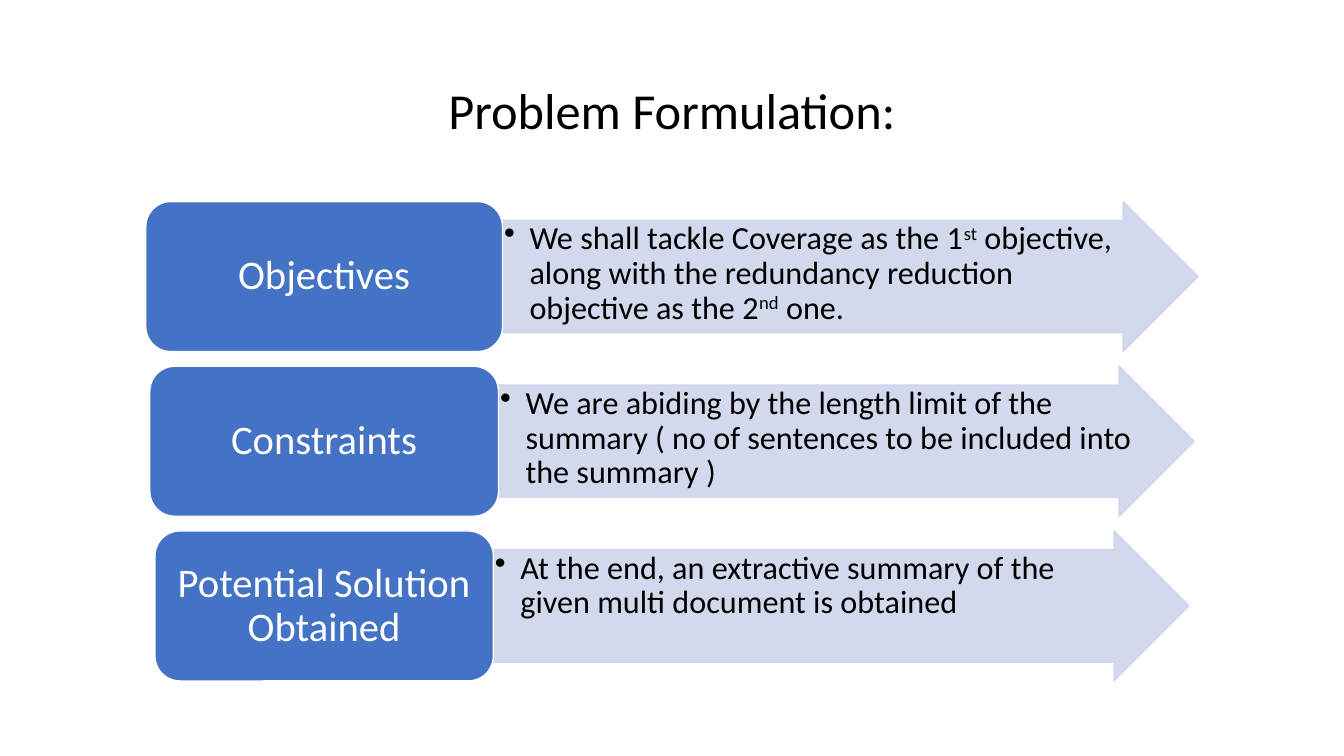
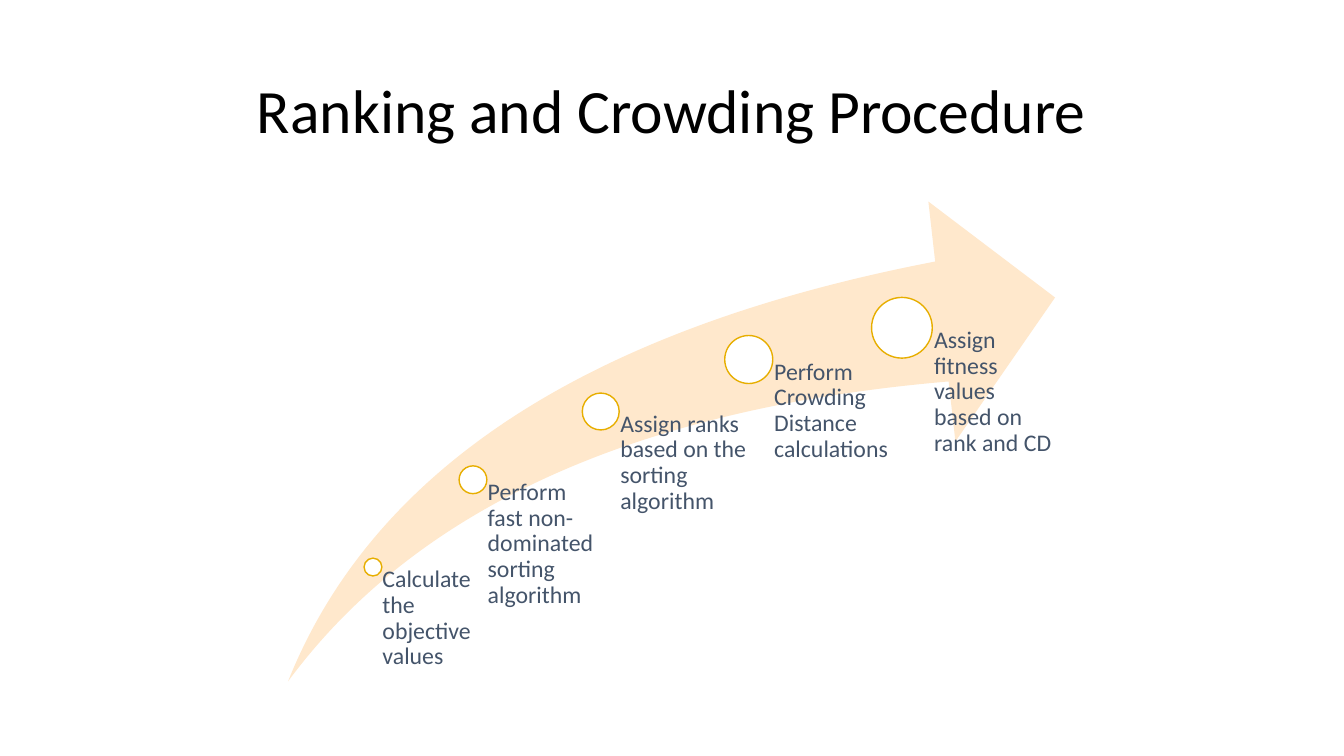
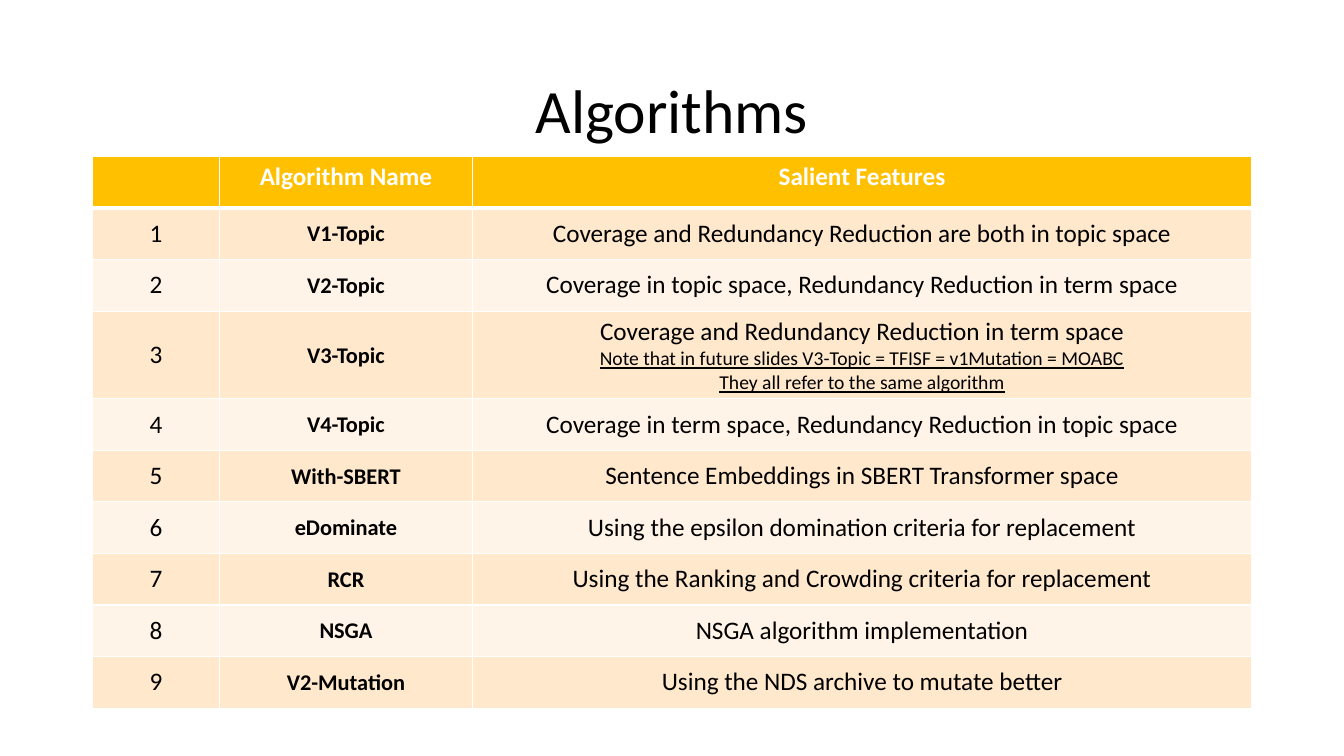
from dataclasses import dataclass
from typing import Any

import pptx
import pptx.dml.color
import pptx.enum.shapes
import pptx.enum.text
import pptx.oxml
import pptx.oxml.ns
import pptx.util

Cm = pptx.util.Cm
Pt = pptx.util.Pt
RGB = pptx.dml.color.RGBColor
SHAPE = pptx.enum.shapes.MSO_SHAPE
ALIGN = pptx.enum.text.PP_ALIGN
ANCHOR = pptx.enum.text.MSO_ANCHOR

BLACK = RGB(0x00, 0x00, 0x00)
WHITE = RGB(0xFF, 0xFF, 0xFF)
BLUE = RGB(0x44, 0x72, 0xC4)
PALE_BLUE = RGB(0xCF, 0xD5, 0xEA)
SLATE = RGB(0x44, 0x54, 0x6A)
GOLD = RGB(0xFF, 0xC0, 0x00)
DARK_GOLD = RGB(0xE7, 0xAE, 0x00)
PEACH = RGB(0xFF, 0xE8, 0xCC)
PALE_PEACH = RGB(0xFF, 0xF4, 0xE7)

SLIDE_WIDTH, SLIDE_HEIGHT = 33.87, 19.05
CONTENT_LEFT, CONTENT_WIDTH = 2.33, 29.21
DIAGRAM_TOP, DIAGRAM_BOTTOM = 5.08, 17.17
FONT = "Calibri"


@dataclass(frozen=True)
class Run:
    text: str
    raised: bool = False


@dataclass(frozen=True)
class Aspect:
    """A labelled box with an arrow that explains it."""
    label: str
    label_width: float
    explanation: tuple[Run, ...]


@dataclass(frozen=True)
class Step:
    """A circle on the curved arrow, with its caption."""
    caption: str
    centre_x: float
    centre_y: float
    diameter: float
    caption_width: float


@dataclass(frozen=True)
class Algorithm:
    name: str
    feature: str
    notes: tuple[str, ...] = ()


ASPECTS = (
    Aspect("Objectives", 8.99, (
        Run("We shall tackle Coverage as the 1"), Run("st", True),
        Run(" objective, along with the redundancy reduction objective as the 2"),
        Run("nd", True), Run(" one."))),
    Aspect("Constraints", 8.79, (
        Run("We are abiding by the length limit of the summary "
            "( no of sentences to be included into the summary )"),)),
    Aspect("Potential Solution Obtained", 8.53, (
        Run("At the end, an extractive summary of the given multi document is obtained"),)),
)

STEPS = (
    Step("Calculate the objective values", 9.4, 14.29, 0.45, 2.55),
    Step("Perform fast non-dominated sorting algorithm", 11.92, 12.09, 0.7, 3.21),
    Step("Assign ranks based on the sorting algorithm", 15.14, 10.37, 0.93, 3.74),
    Step("Perform Crowding Distance calculations", 18.87, 9.06, 1.21, 3.87),
    Step("Assign fitness values based on rank and CD", 22.73, 8.26, 1.53, 3.87),
)

TABLE_HEADINGS = ("", "Algorithm Name", "Salient Features")
ALGORITHMS = (
    Algorithm("V1-Topic", "Coverage and Redundancy Reduction are both in topic space"),
    Algorithm("V2-Topic", "Coverage in topic space, Redundancy Reduction in term space"),
    Algorithm("V3-Topic", "Coverage and Redundancy Reduction in term space", (
        "Note that in future slides V3-Topic = TFISF = v1Mutation = MOABC",
        "They all refer to the same algorithm")),
    Algorithm("V4-Topic", "Coverage in term space, Redundancy Reduction in topic space"),
    Algorithm("With-SBERT", "Sentence Embeddings in SBERT Transformer space"),
    Algorithm("eDominate", "Using the epsilon domination criteria for replacement"),
    Algorithm("RCR", "Using the Ranking and Crowding criteria for replacement"),
    Algorithm("NSGA", "NSGA algorithm implementation"),
    Algorithm("V2-Mutation", "Using the NDS archive to mutate better"),
)


def apply_format(target: Any, **values: Any) -> None:
    for attribute, value in values.items():
        setattr(target, attribute, value)


def set_margins(target: Any, left: float, top: float, right: float, bottom: float) -> None:
    apply_format(target, margin_left=Cm(left), margin_top=Cm(top),
                 margin_right=Cm(right), margin_bottom=Cm(bottom))


def write(paragraph: Any, runs: tuple[Run, ...], size: float, color: RGB,
          align: Any = ALIGN.CENTER, spacing: float = 0.9, **font_format: Any) -> None:
    apply_format(paragraph, alignment=align, line_spacing=spacing)
    for part in runs:
        run = paragraph.add_run()
        run.text = part.text
        apply_format(run.font, name=FONT, size=Pt(size), **font_format)
        run.font.color.rgb = color
        if part.raised:
            run._r.get_or_add_rPr().set("baseline", "30000")


def add_bullet(paragraph: Any, indent: float) -> None:
    properties = paragraph._p.get_or_add_pPr()
    properties.set("marL", str(Cm(indent)))
    properties.set("indent", str(-Cm(indent)))
    bullet = pptx.oxml.parse_xml(
        f'<a:buChar {pptx.oxml.ns.nsdecls("a")} char="•"/>')
    properties.append(bullet)


def set_opacity(shape: Any, percent: int) -> None:
    """Apply the opacity to the fill and the outline."""
    for color in shape._element.spPr.iter(pptx.oxml.ns.qn("a:srgbClr")):
        color.append(pptx.oxml.parse_xml(
            f'<a:alpha {pptx.oxml.ns.nsdecls("a")} val="{percent * 1000}"/>'))


def add_figure(slide: Any, kind: Any, left: float, top: float, width: float,
               height: float, fill: RGB, outline: RGB | None = None) -> Any:
    figure = slide.shapes.add_shape(kind, Cm(left), Cm(top), Cm(width), Cm(height))
    figure.shadow.inherit = False
    figure.fill.solid()
    figure.fill.fore_color.rgb = fill
    if outline is None:
        figure.line.fill.background()
    else:
        figure.line.color.rgb = outline
        figure.line.width = Pt(1)
    return figure


def add_text_frame(slide: Any, left: float, top: float, width: float, height: float) -> Any:
    frame = slide.shapes.add_textbox(Cm(left), Cm(top), Cm(width), Cm(height)).text_frame
    frame.word_wrap = True
    return frame


def add_titled_slide(deck: Any, title: str, size: float = 44) -> Any:
    slide = deck.slides.add_slide(deck.slide_layouts[6])
    frame = add_text_frame(slide, CONTENT_LEFT, 1.01, CONTENT_WIDTH, 3.68)
    frame.vertical_anchor = ANCHOR.MIDDLE
    write(frame.paragraphs[0], (Run(title),), size, BLACK)
    return slide


def add_aspect(slide: Any, aspect: Aspect, top: float) -> None:
    height, arrow_width = 3.78, 17.53
    left = (SLIDE_WIDTH - aspect.label_width - arrow_width) / 2

    arrow = add_figure(slide, SHAPE.RIGHT_ARROW, left + aspect.label_width, top,
                       arrow_width, height, PALE_BLUE, PALE_BLUE)
    arrow.adjustments[0], arrow.adjustments[1] = 0.75, 0.5
    set_opacity(arrow, 90)
    explanation = arrow.text_frame
    apply_format(explanation, word_wrap=True, vertical_anchor=ANCHOR.TOP)
    set_margins(explanation, 0.04, 0.04, 0.04, 0.04)
    add_bullet(explanation.paragraphs[0], 0.64)
    write(explanation.paragraphs[0], aspect.explanation, 23, BLACK, ALIGN.LEFT)

    box = add_figure(slide, SHAPE.ROUNDED_RECTANGLE, left, top,
                     aspect.label_width, height, BLUE, WHITE)
    label = box.text_frame
    apply_format(label, word_wrap=True, vertical_anchor=ANCHOR.MIDDLE)
    set_margins(label, 0.3, 0.15, 0.3, 0.15)
    write(label.paragraphs[0], (Run(aspect.label),), 29, WHITE)


def add_step(slide: Any, step: Step) -> None:
    radius = step.diameter / 2
    add_figure(slide, SHAPE.OVAL, step.centre_x - radius, step.centre_y - radius,
               step.diameter, step.diameter, WHITE, DARK_GOLD)
    caption = add_text_frame(slide, step.centre_x, step.centre_y,
                             step.caption_width, DIAGRAM_BOTTOM - step.centre_y)
    set_margins(caption, step.diameter * 0.53, 0, 0, 0)
    write(caption.paragraphs[0], (Run(step.caption),), 17, SLATE, ALIGN.LEFT)


def style_cell(cell: Any, fill: RGB, top_border: float = 1, bottom_border: float = 1) -> None:
    cell.fill.solid()
    cell.fill.fore_color.rgb = fill
    properties = cell._tc.get_or_add_tcPr()
    borders = {"lnL": 1, "lnR": 1, "lnT": top_border, "lnB": bottom_border}
    for position, (side, width) in enumerate(borders.items()):
        properties.insert(position, pptx.oxml.parse_xml(
            f'<a:{side} {pptx.oxml.ns.nsdecls("a")} w="{Pt(width)}"><a:solidFill>'
            f'<a:srgbClr val="{WHITE}"/></a:solidFill></a:{side}>'))


def write_cell(cell: Any, text: str, size: float = 18, color: RGB = BLACK,
               bold: bool = False) -> None:
    write(cell.text_frame.paragraphs[0], (Run(text),), size, color, spacing=1.0, bold=bold)


def add_algorithm_table(slide: Any) -> None:
    row_height, noted_row_height = 1.3, 2.2
    heights = [row_height] + [noted_row_height if algorithm.notes else row_height
                              for algorithm in ALGORITHMS]
    table = slide.shapes.add_table(
        len(heights), len(TABLE_HEADINGS), Cm(CONTENT_LEFT), Cm(3.94),
        Cm(CONTENT_WIDTH), Cm(sum(heights))).table
    for column, width in zip(table.columns, (3.2, 6.38, 19.63)):
        column.width = Cm(width)
    for row, height in zip(table.rows, heights):
        row.height = Cm(height)

    for column, heading in enumerate(TABLE_HEADINGS):
        cell = table.cell(0, column)
        style_cell(cell, GOLD, bottom_border=3)
        if heading:
            write_cell(cell, heading, color=WHITE, bold=True)

    for number, algorithm in enumerate(ALGORITHMS, start=1):
        number_cell, name_cell, feature_cell = table.rows[number].cells
        for cell in (number_cell, name_cell, feature_cell):
            style_cell(cell, PEACH if number % 2 else PALE_PEACH,
                       top_border=3 if number == 1 else 1)
            cell.vertical_anchor = ANCHOR.MIDDLE
        set_margins(name_cell, 0.03, 0.03, 0.03, 0)
        write_cell(number_cell, str(number))
        write_cell(name_cell, algorithm.name, size=16, bold=True)
        write_cell(feature_cell, algorithm.feature)
        for note in algorithm.notes:
            write(feature_cell.text_frame.add_paragraph(), (Run(note),), 14, BLACK,
                  spacing=1.0, bold=False, underline=True)


def main() -> None:
    deck = pptx.Presentation()
    apply_format(deck, slide_width=Cm(SLIDE_WIDTH), slide_height=Cm(SLIDE_HEIGHT))

    formulation = add_titled_slide(deck, "Problem Formulation:", 36)
    for index, aspect in enumerate(ASPECTS):
        add_aspect(formulation, aspect, DIAGRAM_TOP + index * 4.15)

    procedure = add_titled_slide(deck, "Ranking and Crowding Procedure")
    swoosh = add_figure(procedure, SHAPE.SWOOSH_ARROW, 7.26, DIAGRAM_TOP, 19.33,
                        DIAGRAM_BOTTOM - DIAGRAM_TOP, PEACH)
    swoosh.adjustments[0], swoosh.adjustments[1] = 0.25, 0.25
    for step in STEPS:
        add_step(procedure, step)

    add_algorithm_table(add_titled_slide(deck, "Algorithms"))
    deck.save("out.pptx")


if __name__ == "__main__":
    main()
